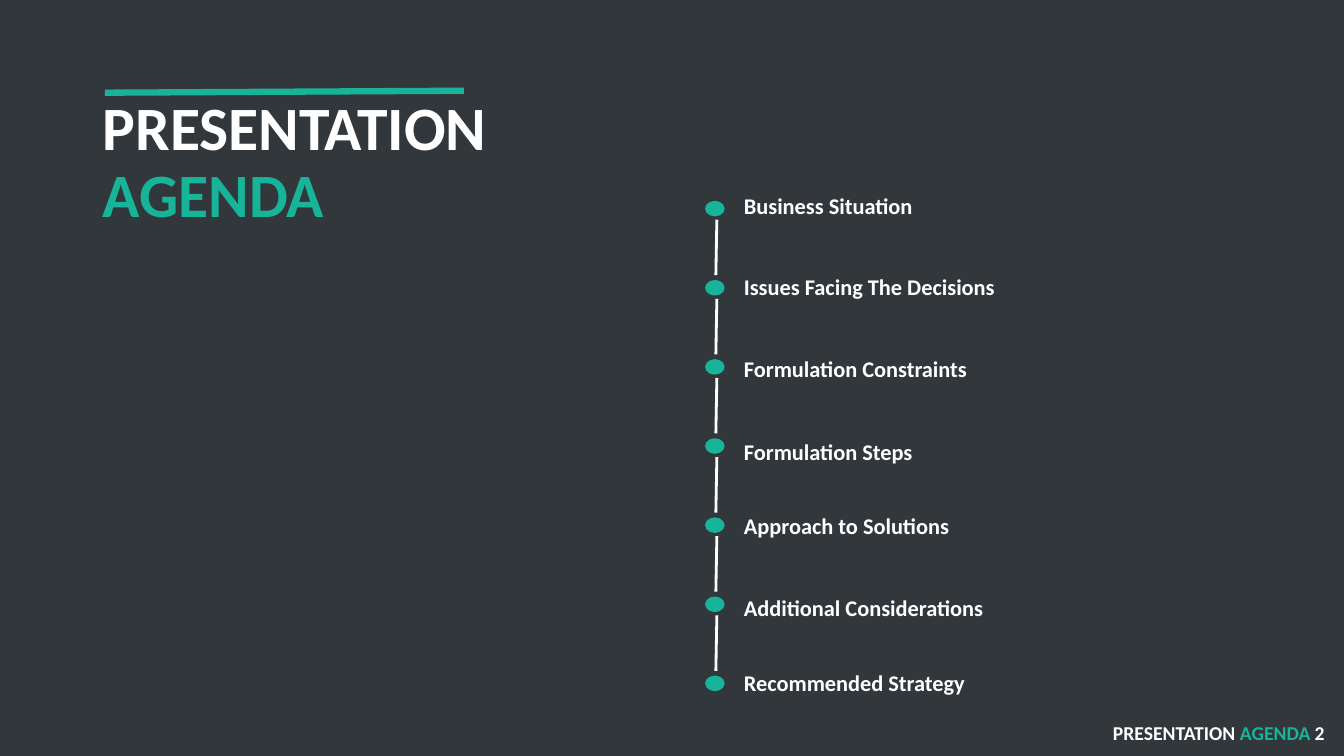
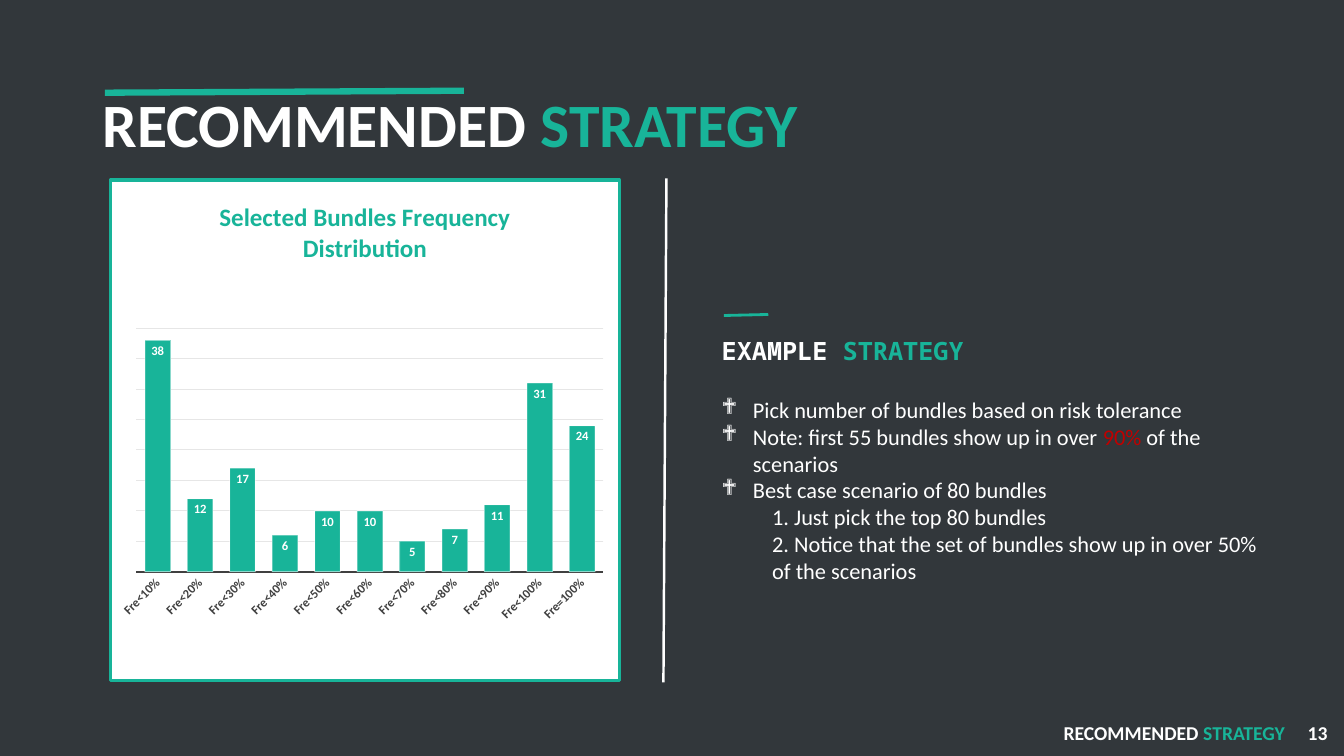
import lxml.etree
import pptx
import pptx.chart.data
import pptx.dml.color
import pptx.enum.chart
import pptx.enum.shapes
import pptx.oxml
import pptx.oxml.ns
import pptx.util

Inches = pptx.util.Inches
Pt = pptx.util.Pt
qn = pptx.oxml.ns.qn
rgb = pptx.dml.color.RGBColor.from_string

DARK, TEAL, WHITE, RED, GREY = "32373B", "18B499", "FFFFFF", "C00000", "404040"
TITLE = {"size": Pt(44), "name": "Calibri", "bold": True}
FOOTER = {"size": Pt(14), "name": "Calibri", "bold": True}
AGENDA = {"size": Pt(16), "name": "Calibri", "bold": True}
HEADING = {"size": Pt(18), "name": "Noto Sans Mono", "bold": True}
BODY = {"size": Pt(16), "name": "Calibri", "bold": False}
CHART_TITLE = {"size": Pt(18), "name": "Calibri", "bold": True}
CHART_LABEL = {"size": Pt(9), "name": "Calibri", "bold": True}


def add_text(slide, left, top, width, height, paragraphs):
    box = slide.shapes.add_textbox(Inches(left), Inches(top), Inches(width), Inches(height))
    frame = box.text_frame
    frame.word_wrap = True
    for index, (font_format, runs) in enumerate(paragraphs):
        paragraph = frame.add_paragraph() if index else frame.paragraphs[0]
        for text, color in runs:
            run = paragraph.add_run()
            run.text = text.rstrip("\n")
            run.font.color.rgb = rgb(color)
            for name, value in font_format.items():
                setattr(run.font, name, value)
            if text.endswith("\n"):
                paragraph.add_line_break()
    return frame.paragraphs


def add_line(slide, start, end, color, width):
    line = slide.shapes.add_connector(
        pptx.enum.shapes.MSO_CONNECTOR.STRAIGHT, *map(Inches, start + end))
    line.line.color.rgb = rgb(color)
    line.line.width = Pt(width)
    lxml.etree.SubElement(line.element.spPr, qn("a:effectLst"))


presentation = pptx.Presentation()
presentation.slide_width = Inches(13.33)
presentation.slide_height = Inches(7.5)
background = presentation.slide_master.background.fill
background.solid()
background.fore_color.rgb = rgb(DARK)

slide_heads = [
    ("PRESENTATION", "\n", "AGENDA", "2", 0.92, 10.94, 2.0),
    ("RECOMMENDED", " ", "STRATEGY", "13", 0.89, 10.45, 2.42),
]
for first, separator, second, number, title_top, footer_left, number_tab in slide_heads:
    slide = presentation.slides.add_slide(presentation.slide_layouts[6])
    title = [(first + separator, WHITE), (second, TEAL)]
    add_text(slide, 0.92, title_top, 11.5, 1.45, [(TITLE, title)])[0].line_spacing = 0.9
    add_line(slide, (1.04, 0.92), (4.6, 0.9), TEAL, 4.5)

    footer = [(first + " ", WHITE), (second, TEAL), ("\t" + number, WHITE)]
    paragraph = add_text(slide, footer_left, 7.1, 13.33 - footer_left, 0.34, [(FOOTER, footer)])[0]
    tabs = lxml.etree.SubElement(paragraph._p.get_or_add_pPr(), qn("a:tabLst"))
    lxml.etree.SubElement(tabs, qn("a:tab"), pos=str(Inches(number_tab)), algn="l")

agenda_slide, strategy_slide = presentation.slides

agenda_items = [
    ("Business Situation", 1.86),
    ("Issues Facing The Decisions", 2.66),
    ("Formulation Constraints", 3.47),
    ("Formulation Steps", 4.3),
    ("Approach to Solutions", 5.03),
    ("Additional Considerations", 5.85),
    ("Recommended Strategy", 6.59),
]
dot_pitch = (6.71 - 2) / (len(agenda_items) - 1)
for index, (label, label_top) in enumerate(agenda_items):
    dot_top = 2 + index * dot_pitch
    dot = agenda_slide.shapes.add_shape(
        pptx.enum.shapes.MSO_SHAPE.FLOWCHART_CONNECTOR,
        Inches(7), Inches(dot_top), Inches(0.18), Inches(0.14))
    dot.shadow.inherit = False
    dot.fill.solid()
    dot.fill.fore_color.rgb = rgb(TEAL)
    dot.line.color.rgb = rgb(TEAL)
    dot.line.width = Pt(1)
    if index < len(agenda_items) - 1:
        add_line(agenda_slide, (7.11, dot_top + 0.18), (7.1, dot_top + 0.73), WHITE, 2)
    add_text(agenda_slide, 7.28, label_top, 2.77, 0.37, [(AGENDA, [(label, WHITE)])])

frequencies = {
    "Fre<10%": 38, "Fre<20%": 12, "Fre<30%": 17, "Fre<40%": 6, "Fre<50%": 10, "Fre<60%": 10,
    "Fre<70%": 5, "Fre<80%": 7, "Fre<90%": 11, "Fre<100%": 31, "Fre=100%": 24,
}
chart_width, chart_height = 5.08, 5
chart_data = pptx.chart.data.CategoryChartData()
chart_data.categories = list(frequencies)
chart_data.add_series("Series 1", list(frequencies.values()))
chart = strategy_slide.shapes.add_chart(
    pptx.enum.chart.XL_CHART_TYPE.COLUMN_CLUSTERED,
    Inches(1.08), Inches(1.77), Inches(chart_width), Inches(chart_height), chart_data).chart
chart.has_legend = False
chart.font.size = Pt(10)
chart.font.name = "Calibri"
chart.has_title = True
chart.chart_title.text_frame.text = "Selected Bundles Frequency Distribution"

plot = chart.plots[0]
plot.gap_width = 65
plot.vary_by_categories = False
plot.has_data_labels = True
labels = plot.data_labels
labels.show_value = True
labels.position = pptx.enum.chart.XL_LABEL_POSITION.INSIDE_END

series = plot.series[0]
series.invert_if_negative = False
series.format.fill.solid()
series.format.fill.fore_color.rgb = rgb(TEAL)

category_axis = chart.category_axis
category_axis.major_tick_mark = pptx.enum.chart.XL_TICK_MARK.NONE
value_axis = chart.value_axis
axis_format = {"minimum_scale": 0, "maximum_scale": 40, "major_unit": 5,
               "has_major_gridlines": True, "visible": False}
for name, value in axis_format.items():
    setattr(value_axis, name, value)

chart_fonts = [
    (chart.chart_title.text_frame.paragraphs[0].runs[0].font, CHART_TITLE, TEAL),
    (labels.font, CHART_LABEL, WHITE),
    (category_axis.tick_labels.font, CHART_LABEL, GREY),
]
for font, font_format, color in chart_fonts:
    font.color.rgb = rgb(color)
    for name, value in font_format.items():
        setattr(font, name, value)

chart_lines = [
    (series.format.line, WHITE, 0.75),
    (category_axis.format.line, GREY, 1.5),
    (value_axis.major_gridlines.format.line, "E6E6E6", 0.75),
]
for line, color, width in chart_lines:
    line.color.rgb = rgb(color)
    line.width = Pt(width)

chart_space = chart.element
bar_outline = chart_space.xpath(".//c:ser/c:spPr/a:ln//a:srgbClr")[0]
lxml.etree.SubElement(bar_outline, qn("a:alpha"), val="50000")
chart_space.xpath(".//c:catAx/c:txPr/a:bodyPr")[0].set("rot", "-2700000")
plot_area = chart_space.xpath(".//c:plotArea")[0]
for layout in plot_area.findall(qn("c:layout")):
    plot_area.remove(layout)
layout = lxml.etree.Element(qn("c:layout"))
manual = lxml.etree.SubElement(layout, qn("c:manualLayout"))
plot_layout = {"layoutTarget": "inner", "xMode": "edge", "yMode": "edge",
               "x": 0.26 / chart_width, "y": 1.48 / chart_height,
               "w": 4.66 / chart_width, "h": 2.43 / chart_height}
for name, value in plot_layout.items():
    lxml.etree.SubElement(manual, qn("c:" + name), val=str(value))
plot_area.insert(0, layout)
frame_format = pptx.oxml.parse_xml(
    f'<c:spPr {pptx.oxml.ns.nsdecls("c", "a")}>'
    f'<a:solidFill><a:srgbClr val="{WHITE}"/></a:solidFill>'
    f'<a:ln w="{Pt(2.25)}"><a:solidFill><a:srgbClr val="{TEAL}"/></a:solidFill></a:ln></c:spPr>')
chart_space.find(qn("c:txPr")).addprevious(frame_format)

add_line(strategy_slide, (6.61, 1.77), (6.58, 6.77), WHITE, 1.75)
add_line(strategy_slide, (7.18, 3.13), (7.62, 3.12), TEAL, 2)

bullets = [
    [("Pick number of bundles based on risk tolerance", WHITE)],
    [("Note: first 55 bundles show up in over ", WHITE), ("90%", RED), (" of the scenarios", WHITE)],
    [("Best case scenario of 80 bundles", WHITE)],
]
steps = [
    [("1. Just pick the top 80 bundles", WHITE)],
    [("2. Notice that the set of bundles show up in over 50% of the scenarios", WHITE)],
]
heading = (HEADING, [("EXAMPLE ", WHITE), ("STRATEGY", TEAL)])
paragraphs = add_text(strategy_slide, 7.06, 3.28, 5.52, 2.59,
                      [heading] + [(BODY, runs) for runs in bullets + steps])
paragraphs[0].space_after = Pt(21.5)
for index, paragraph in enumerate(paragraphs[1:]):
    properties = paragraph._p.get_or_add_pPr()
    if index < len(bullets):
        properties.set("marL", str(Inches(0.31)))
        properties.set("indent", str(Inches(-0.31)))
        lxml.etree.SubElement(properties, qn("a:buFont"), typeface="Wingdings")
        lxml.etree.SubElement(properties, qn("a:buChar"), char="❖")
    else:
        properties.set("marL", str(Inches(0.5)))

presentation.save("out.pptx")
